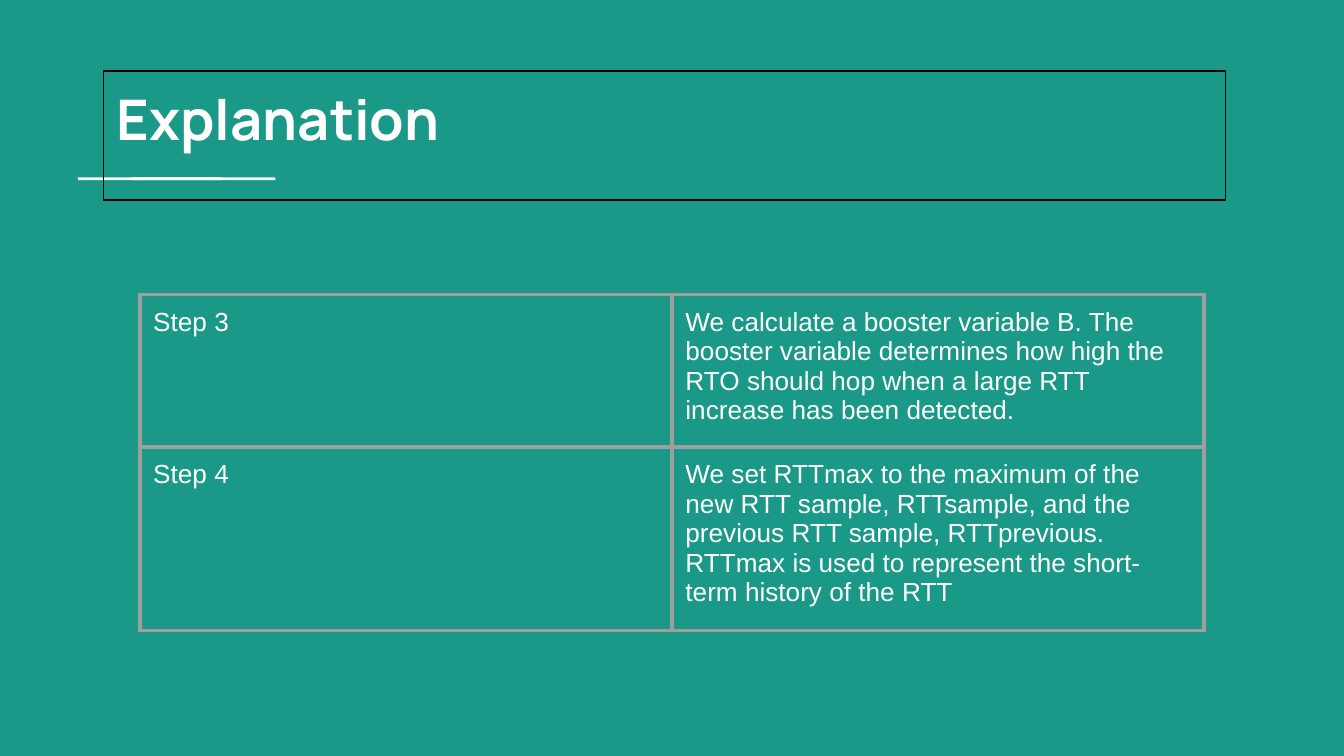
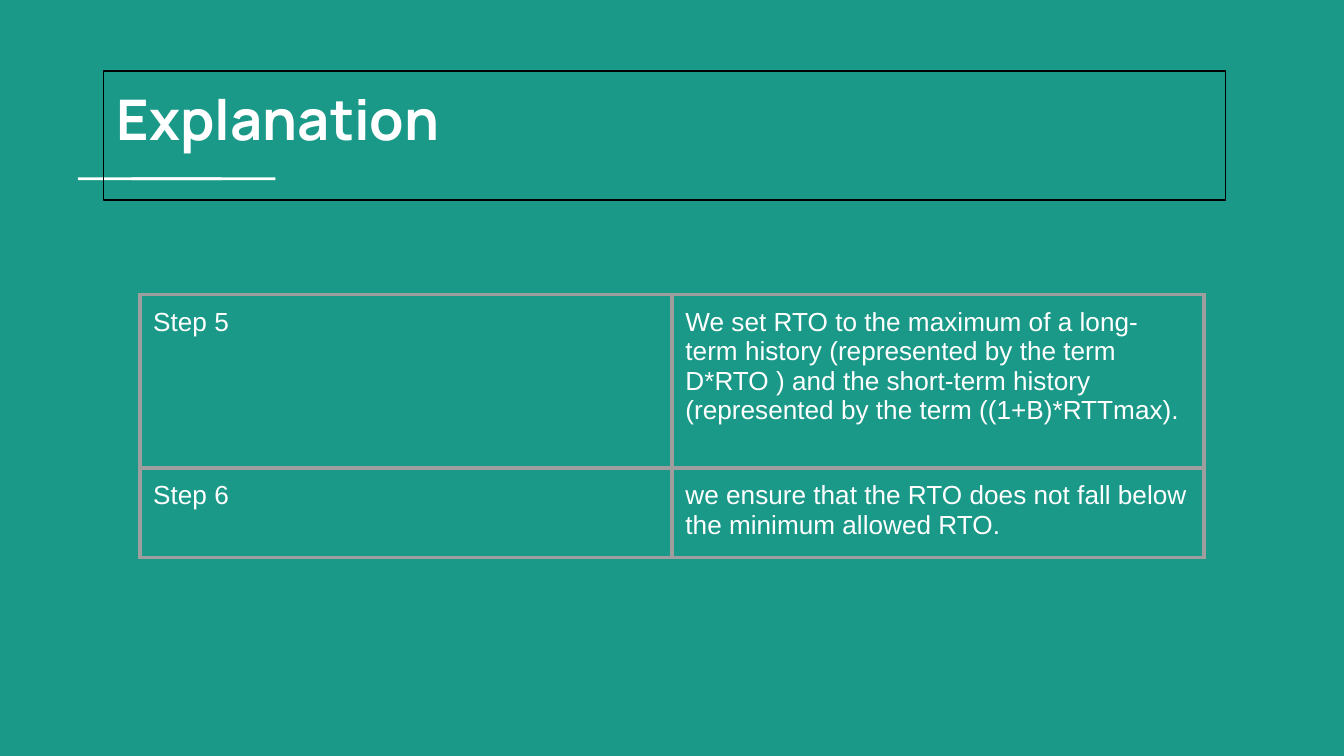
from lxml.etree import SubElement
from pptx import Presentation
from pptx.dml.color import RGBColor
from pptx.enum.shapes import MSO_SHAPE
from pptx.enum.text import MSO_ANCHOR
from pptx.oxml.ns import qn
from pptx.util import Inches, Pt

TEAL, WHITE, GREY, BLACK = "1A9988", "FFFFFF", "9E9E9E", "000000"
TITLE_FONT, BODY_FONT = "Manrope", "Arial"
PLAIN_TABLE_STYLE = "{2D5ABB26-0587-4C30-8999-92F81FD0307C}"
INSET = Inches(0.1)
TITLE_BOX = (0.77, 0.53, 8.35, 0.96)
TABLE_BOX = (1.04, 2.19, 7.92)  # left, top, width
ROW_HEIGHT = 0.42  # rows grow to fit their text

# Each step: label, explanation, least row height in inches
SLIDES = [
    [
        ("Step 3", "We calculate a booster variable B. The booster variable determines "
         "how high the RTO should hop when a large RTT increase has been detected.", ROW_HEIGHT),
        ("Step 4", "We set RTTmax to the maximum of the new RTT sample, RTTsample, and the "
         "previous RTT sample, RTTprevious. RTTmax is used to represent the short-term "
         "history of the RTT", ROW_HEIGHT),
    ],
    [
        ("Step 5", "We set RTO to the maximum of a long-term history (represented by the "
         "term D*RTO ) and the short-term history (represented by the term "
         "((1+B)*RTTmax).", 1.29),
        ("Step 6", "we ensure that the RTO does not fall below the minimum allowed RTO.",
         ROW_HEIGHT),
    ],
]


def color(hex_string):
    return RGBColor.from_string(hex_string)


def paint(fill, hex_string):
    fill.solid()
    fill.fore_color.rgb = color(hex_string)


def add_text(frame, text, font_name, size, bold=False):
    """Write one white run into a frame, in one font for all scripts."""
    run = frame.paragraphs[0].add_run()
    run.text = text
    run.font.size = Pt(size)
    run.font.bold = bold
    run.font.color.rgb = color(WHITE)
    run.font.name = font_name
    for script in ("a:ea", "a:cs"):
        SubElement(run.font._element, qn(script), typeface=font_name)


def set_insets(holder):
    holder.margin_left = holder.margin_right = INSET
    holder.margin_top = holder.margin_bottom = INSET
    holder.vertical_anchor = MSO_ANCHOR.TOP


def add_underline(slide, left, top):
    """Two overlapping white bars that form the rule under the title."""
    for offset in (0.4, 0):
        bar = slide.shapes.add_shape(
            MSO_SHAPE.RECTANGLE, Inches(left + offset), Inches(top), Inches(1.07), Inches(0.02))
        paint(bar.fill, WHITE)
        bar.line.fill.background()
        bar.shadow.inherit = False


def add_title(slide, text, left, top, width, height):
    add_underline(slide, left - 0.19, top + 0.79)
    title = slide.shapes.add_textbox(Inches(left), Inches(top), Inches(width), Inches(height))
    title.line.color.rgb = color(BLACK)
    title.line.width = Pt(0.75)
    title.text_frame.word_wrap = True
    set_insets(title.text_frame)
    add_text(title.text_frame, text, TITLE_FONT, 30, bold=True)


def add_borders(cell):
    properties = cell._tc.get_or_add_tcPr()
    for index, side in enumerate(("a:lnL", "a:lnR", "a:lnT", "a:lnB")):
        border = properties.makeelement(qn(side), {"w": str(Pt(2.25))})
        SubElement(SubElement(border, qn("a:solidFill")), qn("a:srgbClr"), val=GREY)
        properties.insert(index, border)


def add_steps(slide, steps, left, top, width):
    total_height = sum(height for _, _, height in steps)
    table = slide.shapes.add_table(
        len(steps), 2, Inches(left), Inches(top), Inches(width), Inches(total_height)).table
    table.first_row = table.horz_banding = False
    table._tbl.tblPr.find(qn("a:tableStyleId")).text = PLAIN_TABLE_STYLE
    for column in table.columns:
        column.width = Inches(width / 2)
    for row, (label, explanation, height) in zip(table.rows, steps):
        row.height = Inches(height)
        for cell, text in zip(row.cells, (label, explanation)):
            set_insets(cell)
            cell.fill.background()
            add_borders(cell)
            add_text(cell.text_frame, text, BODY_FONT, 14)


def add_explanation_slide(deck, steps):
    slide = deck.slides.add_slide(deck.slide_layouts[6])
    paint(slide.background.fill, TEAL)
    add_title(slide, "Explanation", *TITLE_BOX)
    add_steps(slide, steps, *TABLE_BOX)


def main():
    deck = Presentation()
    deck.slide_width, deck.slide_height = Inches(10), Inches(10 * 9 / 16)
    for steps in SLIDES:
        add_explanation_slide(deck, steps)
    deck.save("out.pptx")


if __name__ == "__main__":
    main()
